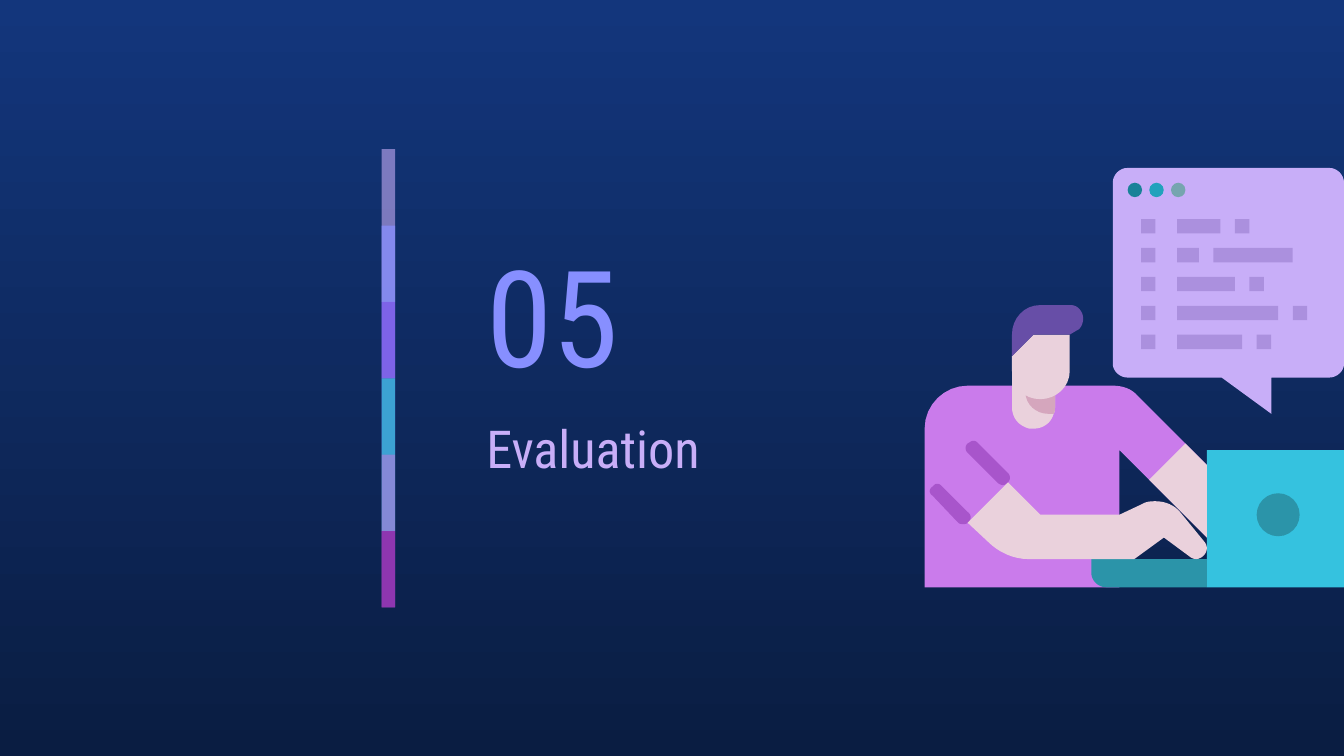
import pptx
import pptx.util
import pptx.dml.color
import pptx.enum.shapes
import pptx.enum.text
import pptx.oxml.ns
import pptx.oxml.xmlchemy

RGB = pptx.dml.color.RGBColor
SHAPE = pptx.enum.shapes.MSO_SHAPE
ANCHOR = pptx.enum.text.MSO_ANCHOR
inch = pptx.util.Inches

WIDE = 10
HIGH = WIDE * 9 / 16
FONT = "Roboto Condensed"
NAVY, NIGHT = RGB(0x13, 0x36, 0x7C), RGB(0x0A, 0x1D, 0x42)
BLUE, LILAC = RGB(0x87, 0x8F, 0xFF), RGB(0xC8, 0xAE, 0xF8)
PINK, PLUM = RGB(0xCA, 0x7B, 0xEB), RGB(0xA8, 0x55, 0xCB)
CYAN, TEAL = RGB(0x35, 0xC2, 0xDF), RGB(0x2B, 0x94, 0xA9)
SKIN, SHADE = RGB(0xEA, 0xD1, 0xDC), RGB(0xD5, 0xA6, 0xBD)
HAIR, CODE = RGB(0x67, 0x4E, 0xA7), RGB(0xAB, 0x90, 0xDE)
VIOLET, MAGENTA = RGB(0x91, 0x54, 0xF8), RGB(0x97, 0x2C, 0xB4)
DOTS = [RGB(0x19, 0x82, 0x98), RGB(0x22, 0xA2, 0xBC), RGB(0x76, 0xA5, 0xAF)]

# Colour and opacity in percent, from top to bottom
BARS = [(LILAC, 59), (BLUE, 74), (VIOLET, 53), (CYAN, 76), (PINK, 56), (MAGENTA, 74)]
TOP, END = 1.11, 4.52

# Start and length of each code mark, in units of one small square
LINES = [
    [(0, 1), (2.5, 3), (6.5, 1)],
    [(0, 1), (2.5, 1.5), (5, 5.5)],
    [(0, 1), (2.5, 4), (7.5, 1)],
    [(0, 1), (2.5, 7), (10.5, 1)],
    [(0, 1), (2.5, 4.5), (8, 1)],
]
UNIT = 0.43 / 4

# Outlines in inches: a pair is a corner, six numbers are a cubic curve
SHIRT = [(7.2, 2.87), (7.03, 2.87, 6.88, 3.01, 6.88, 3.19), (6.88, 4.37), (8.33, 4.37),
         (8.33, 3.35), (8.98, 4), (8.98, 3.46), (8.47, 2.95),
         (8.42, 2.89, 8.35, 2.87, 8.28, 2.87)]
CUFFS = [
    [(6.97, 3.6), (6.96, 3.6, 6.95, 3.61, 6.94, 3.62), (6.91, 3.64, 6.91, 3.67, 6.94, 3.69),
     (7.13, 3.89), (7.14, 3.9, 7.15, 3.9, 7.17, 3.9), (7.18, 3.9, 7.19, 3.9, 7.2, 3.89),
     (7.23, 3.87, 7.23, 3.83, 7.2, 3.81), (7.01, 3.62), (7, 3.61, 6.99, 3.6, 6.97, 3.6)],
    [(7.24, 3.28), (7.23, 3.28, 7.22, 3.29, 7.2, 3.3), (7.18, 3.32, 7.18, 3.35, 7.2, 3.37),
     (7.42, 3.59), (7.43, 3.6, 7.45, 3.61, 7.46, 3.61), (7.48, 3.61, 7.49, 3.6, 7.5, 3.59),
     (7.52, 3.57, 7.52, 3.54, 7.5, 3.52), (7.28, 3.3), (7.27, 3.29, 7.26, 3.28, 7.24, 3.28)],
]
BASE = [(8.12, 4.16), (8.12, 4.26), (8.12, 4.32, 8.17, 4.37, 8.23, 4.37), (8.98, 4.37),
        (8.98, 4.16)]
NECK = [(7.53, 2.71), (7.53, 3.03), (7.53, 3.11, 7.58, 3.17, 7.66, 3.19),
        (7.67, 3.19, 7.68, 3.19, 7.69, 3.19), (7.76, 3.19, 7.82, 3.15, 7.84, 3.08),
        (7.85, 3.06, 7.85, 3.05, 7.85, 3.03), (7.85, 2.71)]
CHIN = [(7.63, 2.71), (7.63, 2.92), (7.63, 3.01, 7.71, 3.08, 7.8, 3.08), (7.84, 3.08),
        (7.85, 3.06, 7.85, 3.05, 7.85, 3.03), (7.85, 2.71)]
NEAR = [(7.5, 3.59), (7.2, 3.89), (7.35, 4.03), (7.43, 4.11, 7.54, 4.16, 7.65, 4.16),
        (8.44, 4.16), (8.66, 4), (8.85, 4.14), (8.86, 4.15, 8.88, 4.16, 8.9, 4.16),
        (8.94, 4.16, 8.98, 4.12, 8.98, 4.08), (8.98, 4.06, 8.97, 4.04, 8.96, 4.03),
        (8.78, 3.81), (8.74, 3.76, 8.67, 3.73, 8.6, 3.73),
        (8.57, 3.73, 8.53, 3.73, 8.5, 3.75), (8.33, 3.83), (7.74, 3.83)]
FAR = [(8.82, 3.3), (8.55, 3.57), (8.98, 4), (8.98, 3.46)]
BUBBLE = [(8.39, 1.25), (8.33, 1.25, 8.28, 1.3, 8.28, 1.36), (8.28, 2.71),
          (8.28, 2.76, 8.33, 2.81, 8.39, 2.81), (9.09, 2.81), (9.46, 3.08), (9.46, 2.81),
          (9.89, 2.81), (9.95, 2.81, 10, 2.76, 10, 2.71), (10, 1.36),
          (10, 1.3, 9.95, 1.25, 9.89, 1.25)]
FACE = [(7.69, 2.49), (7.53, 2.65), (7.53, 2.76), (7.53, 2.88, 7.62, 2.97, 7.74, 2.97),
        (7.86, 2.97, 7.96, 2.88, 7.96, 2.76), (7.96, 2.49)]
CROP = [(7.74, 2.27), (7.62, 2.27, 7.53, 2.37, 7.53, 2.49), (7.53, 2.65), (7.69, 2.49),
        (7.96, 2.49), (8.01, 2.46), (8.04, 2.45, 8.06, 2.41, 8.06, 2.37),
        (8.06, 2.32, 8.02, 2.27, 7.97, 2.27)]

deck = pptx.Presentation()
deck.slide_width, deck.slide_height = inch(WIDE), inch(HIGH)
slide = deck.slides.add_slide(deck.slide_layouts[6])
shapes = slide.shapes


def paint(shape, color, alpha=100):
    shape.shadow.inherit = False
    shape.fill.solid()
    shape.fill.fore_color.rgb = color
    shape.line.fill.background()
    if alpha < 100:
        fill = shape.element.spPr.find(pptx.oxml.ns.qn("a:solidFill"))
        node = pptx.oxml.xmlchemy.OxmlElement("a:alpha")
        node.set("val", str(alpha * 1000))
        fill[0].append(node)


def block(kind, x, y, w, h, color, alpha=100):
    paint(shapes.add_shape(kind, inch(x), inch(y), inch(w), inch(h)), color, alpha)


def trace(path, steps=8):
    """Turn corners and cubic curves into a list of points."""
    pts = [path[0]]
    for part in path[1:]:
        if len(part) == 2:
            pts.append(part)
            continue
        ctrl = [pts[-1], part[:2], part[2:4], part[4:]]
        for i in range(1, steps + 1):
            t = i / steps
            mix = [(1 - t) ** 3, 3 * t * (1 - t) ** 2, 3 * t * t * (1 - t), t ** 3]
            pts.append(tuple(sum(m * c[k] for m, c in zip(mix, ctrl)) for k in (0, 1)))
    return pts


def draw(path, color):
    pts = [(inch(x), inch(y)) for x, y in trace(path)]
    pen = shapes.build_freeform(*pts[0])
    pen.add_line_segments(pts[1:], close=True)
    paint(pen.convert_to_shape(), color)


def write(text, x, y, w, h, size, color, anchor=ANCHOR.TOP):
    frame = shapes.add_textbox(inch(x), inch(y), inch(w), inch(h)).text_frame
    frame.word_wrap = True
    frame.vertical_anchor = anchor
    frame.margin_left = frame.margin_right = inch(0.1)
    frame.margin_top = frame.margin_bottom = inch(0.1)
    run = frame.paragraphs[0].add_run()
    run.text = text
    run.font.name, run.font.size = FONT, pptx.util.Pt(size)
    run.font.color.rgb = color


back = slide.background.fill
back.gradient()
back.gradient_angle = 270
for stop, color in zip(back.gradient_stops, (NAVY, NIGHT)):
    stop.color.rgb = color

write("05", 3.52, 1.66, 1.75, 1.35, size=72, color=BLUE, anchor=ANCHOR.MIDDLE)
write("Evaluation", 3.52, 3, 2.87, 0.96, size=28, color=LILAC)

draw(SHIRT, PINK)
for cuff in CUFFS:
    draw(cuff, PLUM)
block(SHAPE.RECTANGLE, 8.98, 3.35, 1.02, 1.02, CYAN)
for path, color in [(BASE, TEAL), (NECK, SKIN), (CHIN, SHADE), (NEAR, SKIN), (FAR, SKIN)]:
    draw(path, color)
block(SHAPE.OVAL, 9.35, 3.67, 0.32, 0.32, TEAL)

draw(BUBBLE, LILAC)
for row, marks in enumerate(LINES):
    for start, size in marks:
        block(SHAPE.RECTANGLE, 8.49 + start * UNIT, 1.63 + row * 2 * UNIT,
              size * UNIT, UNIT, CODE)
draw(FACE, SKIN)
draw(CROP, HAIR)
for col, color in enumerate(DOTS):
    block(SHAPE.OVAL, 8.39 + col * 1.5 * UNIT, 1.36, UNIT, UNIT, color)

# Each bar reaches under the next one; the last is half as tall
step = (END - TOP) / len(BARS)
for row, (color, alpha) in enumerate(BARS):
    span = min(2, len(BARS) - row)
    block(SHAPE.RECTANGLE, 2.84, TOP + row * step, 0.1, span * step, color, alpha)

deck.save("out.pptx")
